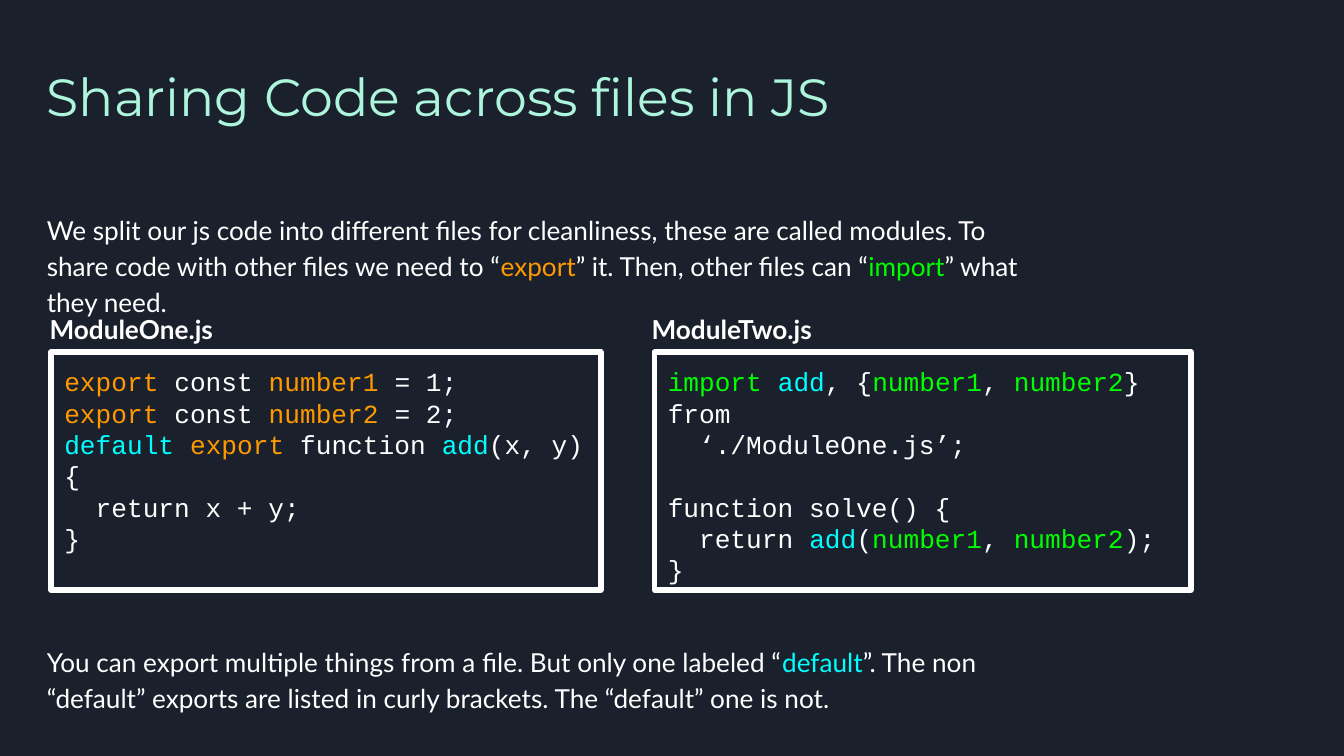
"""Build a slide on sharing JavaScript code across files."""
from dataclasses import dataclass
from typing import Any, NamedTuple

from pptx import Presentation
from pptx.dml.color import RGBColor
from pptx.enum.shapes import MSO_SHAPE
from pptx.enum.text import MSO_ANCHOR, PP_ALIGN
from pptx.util import Inches, Pt

RECTANGLE = MSO_SHAPE.RECTANGLE
TOP, MIDDLE = MSO_ANCHOR.TOP, MSO_ANCHOR.MIDDLE
LEFT = PP_ALIGN.LEFT

COLORS = {
    "background": "1B212C",
    "title": "ADF5DD",
    "plain": "FFFFFF",
    "export": "FF9900",
    "import": "00FF00",
    "default": "00FFFF",
}
TITLE_FONT = {"name": "Montserrat", "size": Pt(28)}
BODY_FONT = {"name": "Lato", "size": Pt(14)}
LABEL_FONT = {**BODY_FONT, "bold": True}
CODE_FONT = {"name": "Courier New", "size": Pt(14)}
BODY_SPACING = {"line_spacing": 1.15, "space_after": Pt(16)}
MARGINS = ("margin_left", "margin_top", "margin_right", "margin_bottom")


class Span(NamedTuple):
    text: str
    color: str = "plain"


class Line(NamedTuple):
    spans: list[Span]
    space_before: float = 0


class Box(NamedTuple):
    left: float
    top: float
    width: float
    height: float


@dataclass
class TextBlock:
    box: Box
    line: Line
    font: dict[str, Any]
    spacing: dict[str, Any]
    anchor: Any


@dataclass
class Module:
    name: str
    label_left: float
    code_left: float
    code_width: float
    code: list[Line]


TEXT_BLOCKS = [
    TextBlock(Box(0.25, 1.46, 7.7, 0.75), Line([
        Span("We split our js code into different files for cleanliness, these are "
             "called modules. To share code with other files we need to “"),
        Span("export", "export"), Span("” it. Then, other files can “"),
        Span("import", "import"), Span("” what they need."),
    ]), BODY_FONT, BODY_SPACING, TOP),
    TextBlock(Box(0.25, 4.54, 7.61, 1), Line([
        Span("You can export multiple things from a file. But only one labeled “"),
        Span("default", "default"),
        Span("”. The non “default” exports are listed in curly brackets. "
             "The “default” one is not."),
    ]), BODY_FONT, BODY_SPACING, MIDDLE),
    TextBlock(Box(0.25, 0.38, 7.7, 1),
              Line([Span("Sharing Code across files in JS", "title")]),
              TITLE_FONT, {}, TOP),
]

IMPORTED_NUMBERS = [Span("number1", "import"), Span(", "), Span("number2", "import")]
ADD = Span("add", "default")
MODULES = [
    Module("ModuleTwo.js", 4.75, 4.87, 3.99, [
        Line([Span("import ", "import"), ADD, Span(", {"), *IMPORTED_NUMBERS, Span("} from")]),
        Line([Span("  ‘./ModuleOne.js’;")]),
        Line([Span("function solve() {")], space_before=16.8),
        Line([Span("  return "), ADD, Span("("), *IMPORTED_NUMBERS, Span(");")]),
        Line([Span("}")]),
    ]),
    Module("ModuleOne.js", 0.27, 0.38, 4.09, [
        *(Line([Span("export", "export"), Span(" const "),
                Span(f"number{value}", "export"), Span(f" = {value};")])
          for value in (1, 2)),
        Line([Span("default", "default"), Span(" export", "export"),
              Span(" function "), ADD, Span("(x, y) {")]),
        Line([Span("  return x + y;")]),
        Line([Span("}")]),
    ]),
]


def set_attributes(target: Any, values: dict[str, Any]) -> None:
    """Set each named value on the target."""
    for name, value in values.items():
        setattr(target, name, value)


def write_lines(shape: Any, lines: list[Line], font: dict[str, Any],
                spacing: dict[str, Any], anchor: Any) -> None:
    """Write coloured lines of text into a shape."""
    frame = shape.text_frame
    set_attributes(frame, {"word_wrap": True, "vertical_anchor": anchor,
                           **dict.fromkeys(MARGINS, Inches(0.1))})
    for index, line in enumerate(lines):
        paragraph = frame.add_paragraph() if index else frame.paragraphs[0]
        set_attributes(paragraph, {"alignment": LEFT, **spacing})
        if line.space_before:
            paragraph.space_before = Pt(line.space_before)
        for span in line.spans:
            run = paragraph.add_run()
            run.text = span.text
            set_attributes(run.font, font)
            run.font.color.rgb = RGBColor.from_string(COLORS[span.color])


def draw_text(shapes: Any, block: TextBlock) -> None:
    """Draw one text box."""
    shape = shapes.add_textbox(*map(Inches, block.box))
    write_lines(shape, [block.line], block.font, block.spacing, block.anchor)


def draw_module(shapes: Any, module: Module) -> None:
    """Draw a framed code listing with its file name above."""
    group = shapes.add_group_shape().shapes
    frame_box = Box(module.code_left, 2.62, module.code_width, 1.77)
    frame = group.add_shape(RECTANGLE, *map(Inches, frame_box))
    frame.shadow.inherit = False
    frame.fill.background()
    frame.line.color.rgb = RGBColor.from_string(COLORS["plain"])
    frame.line.width = Pt(3)
    write_lines(frame, module.code, CODE_FONT, {}, TOP)
    draw_text(group, TextBlock(Box(module.label_left, 2.27, 3.28, 0.36),
                               Line([Span(module.name)]), LABEL_FONT, {}, MIDDLE))


def main() -> None:
    """Build and save the presentation."""
    presentation = Presentation()
    presentation.slide_width = Inches(10)
    presentation.slide_height = Inches(10 * 9 / 16)
    slide = presentation.slides.add_slide(presentation.slide_layouts[6])
    slide.background.fill.solid()
    slide.background.fill.fore_color.rgb = RGBColor.from_string(COLORS["background"])
    for block in TEXT_BLOCKS:
        draw_text(slide.shapes, block)
    for module in MODULES:
        draw_module(slide.shapes, module)
    presentation.save("out.pptx")


if __name__ == "__main__":
    main()
